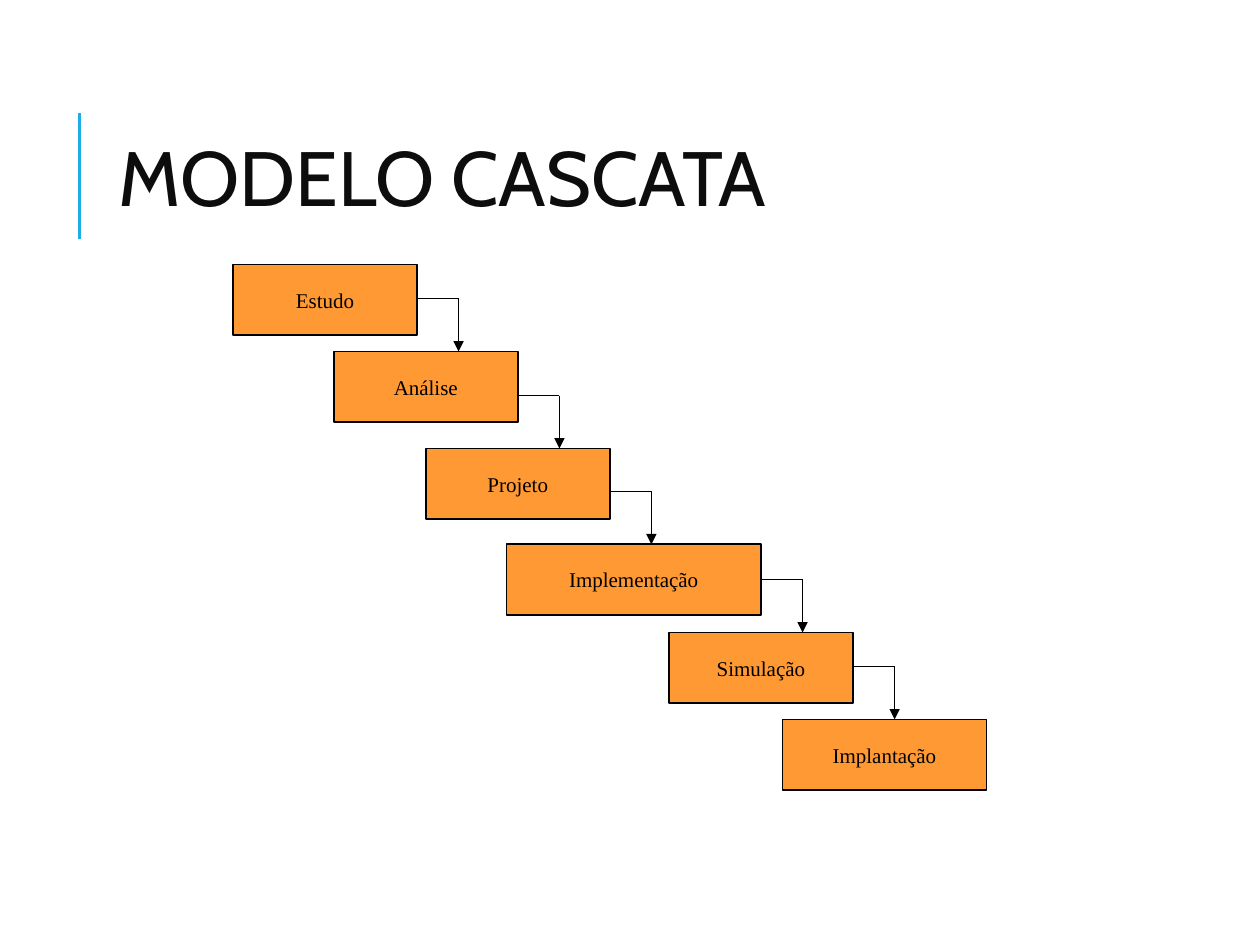
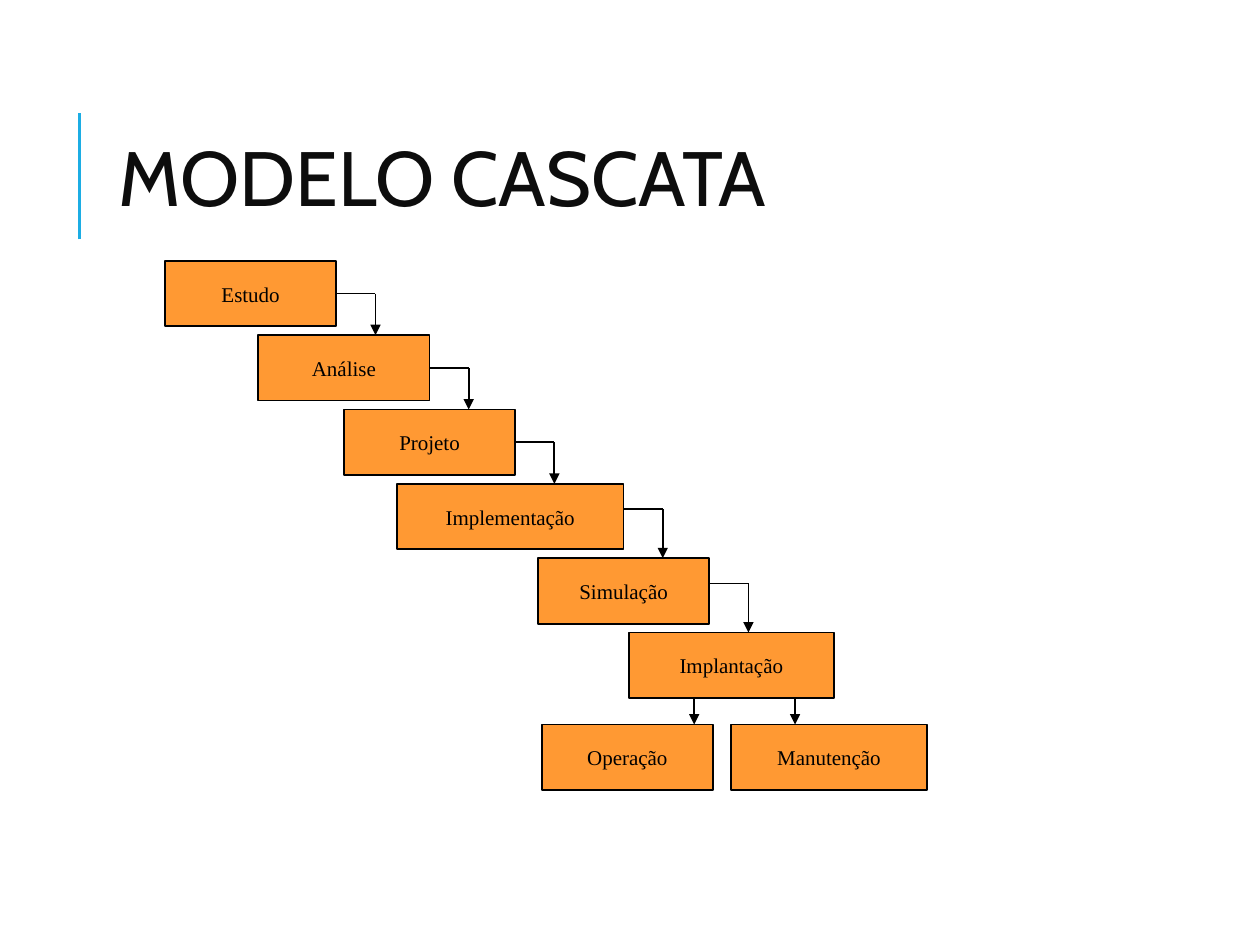
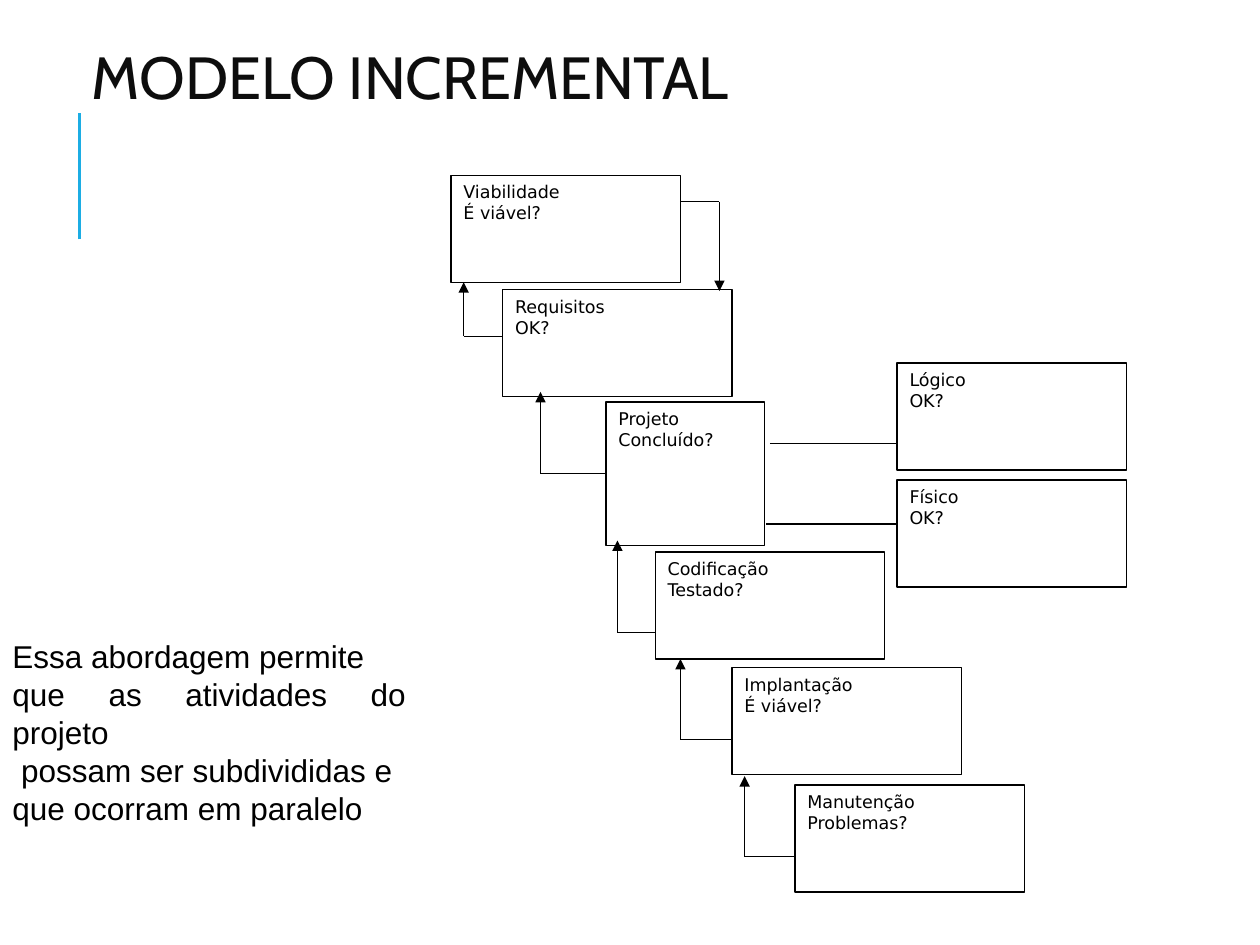
"""Build three slides on the waterfall and incremental process models."""
from itertools import pairwise

from lxml.etree import SubElement
from pptx import Presentation
from pptx.dml.color import RGBColor
from pptx.enum.shapes import MSO_CONNECTOR, MSO_SHAPE
from pptx.enum.text import MSO_ANCHOR, MSO_AUTO_SIZE, PP_ALIGN
from pptx.oxml.ns import qn
from pptx.util import Inches, Pt

INK, DARK, BLUE, ORANGE = "000000", "0D0D0D", "1CADE4", "FF9933"
hue = RGBColor.from_string


def write(shape, text, font="Arial", size=18, color=INK, align=PP_ALIGN.LEFT,
          anchor=MSO_ANCHOR.TOP, space=1.0, wrap=True, fit=MSO_AUTO_SIZE.NONE):
    frame = shape.text_frame
    frame.text = text
    frame.word_wrap = wrap
    frame.auto_size = fit
    frame.vertical_anchor = anchor
    for para in frame.paragraphs:
        para.alignment = align
        para.line_spacing = space
        for run in para.runs:
            run.font.name = font
            run.font.size = Pt(size)
            run.font.color.rgb = hue(color)


def link(slide, points, color=INK, width=1.0, tip=True):
    legs = list(pairwise(points))
    for leg in legs:
        ends = [Inches(value) for point in leg for value in point]
        line = slide.shapes.add_connector(MSO_CONNECTOR.STRAIGHT, *ends)
        line.line.color.rgb = hue(color)
        line.line.width = Pt(width)
        props = line._element.spPr
        if tip and leg == legs[-1]:
            SubElement(props.find(qn("a:ln")), qn("a:tailEnd"), type="triangle")
        SubElement(props, qn("a:effectLst"))


deck = Presentation()
deck.slide_width, deck.slide_height = Inches(10), Inches(7.5)

titles = [
    ("MODELO CASCATA", (0.84, 0.64, 7.97, 1.64), 44),
    ("MODELO CASCATA", (0.84, 0.64, 7.97, 1.64), 44),
    ("MODELO INCREMENTAL", (0.63, 0.33, 8.75, 0.65), 34),
]
pages = []
for name, place, size in titles:
    page = deck.slides.add_slide(deck.slide_layouts[5])
    title = page.shapes.title
    title.left, title.top, title.width, title.height = map(Inches, place)
    write(title, name, font="Cabin", size=size, color=DARK,
          anchor=MSO_ANCHOR.MIDDLE, space=0.8)
    link(page, [(0.63, 1.9), (0.63, 0.9)], color=BLUE, width=1.5, tip=False)
    pages.append(page)
first, second, third = pages

stages = ["Estudo", "Análise", "Projeto", "Implementação", "Simulação", "Implantação"]
falls = [
    (first, 0.56, 0.33, [1.85, 2.65, 3.38, 4.02, 5.31, 6.21],
     [2.1, 2.79, 3.56, 4.32, 5.02, 5.71],
     [1.46, 1.46, 1.46, 2.02, 1.46, 1.62], [0.42] * 5),
    (second, 0.52, 0.31, [1.31, 2.05, 2.73, 3.15, 4.27, 4.99],
     [2.07 + 0.59 * step for step in range(6)],
     [1.36, 1.36, 1.36, 1.8, 1.36, 1.63], [0.33, 0.33, 0.33, 0.39, 0.39]),
]
boxes, paths = [], []
for page, tall, reach, lefts, tops, widths, drops in falls:
    for name, left, top, wide in zip(stages, lefts, tops, widths):
        boxes.append((page, name, left, top, wide, tall))
    for left, wide, top, drop in zip(lefts, widths, tops[1:], drops):
        edge = left + wide
        bend = edge + reach
        paths.append((page, [(edge, top - drop), (bend, top - drop), (bend, top)], True))

boxes += [
    (second, "Operação", 4.3, 5.75, 1.36, 0.52),
    (second, "Manutenção", 5.8, 5.75, 1.56, 0.52),
]
paths += [(second, [(x, 5.55), (x, 5.75)], True) for x in (5.51, 6.31)]

checks = [
    ("Viabilidade\nÉ viável?", 3.58, 1.39),
    ("Requisitos\nOK?", 3.99, 2.3),
    ("Lógico\nOK?", 7.12, 2.88),
    ("Físico\nOK?", 7.12, 3.81),
    ("Codificação\nTestado?", 5.2, 4.38),
    ("Implantação\nÉ viável?", 5.81, 5.3),
    ("Manutenção\nProblemas?", 6.31, 6.23),
]
boxes += [(third, text, left, top, 1.82, 0.85) for text, left, top in checks]
boxes.append((third, "Projeto\nConcluído?", 4.81, 3.19, 1.26, 1.14))

paths.append((third, [(5.4, 1.6), (5.71, 1.6), (5.71, 2.31)], True))
backs = [
    (3.99, 2.67, 3.68, 2.24),
    (4.8, 3.76, 4.29, 3.11),
    (5.2, 5.02, 4.9, 4.29),
    (5.81, 5.87, 5.4, 5.23),
    (6.31, 6.8, 5.91, 6.16),
]
paths += [(third, [(x, y), (bend, y), (bend, end)], True) for x, y, bend, end in backs]
paths += [(third, [(x, y), (7.12, y)], False) for x, y in ((6.11, 3.52), (6.08, 4.16))]

for page, text, *place in boxes:
    box = page.shapes.add_shape(MSO_SHAPE.RECTANGLE, *map(Inches, place))
    box.shadow.inherit = False
    box.line.color.rgb = hue(INK)
    if page is third:
        box.fill.background()
        box.line.width = Pt(0.75)
        write(box, text, font="DejaVu Sans", size=10)
    else:
        box.fill.solid()
        box.fill.fore_color.rgb = hue(ORANGE)
        box.line.width = Pt(1)
        write(box, text, font="Times New Roman", size=12,
              align=PP_ALIGN.CENTER, anchor=MSO_ANCHOR.MIDDLE)

for page, points, tip in paths:
    link(page, points, width=0.75 if page is third else 1, tip=tip)

note = third.shapes.add_textbox(Inches(0), Inches(5.01), Inches(3.32), Inches(1.3))
write(note, "Essa abordagem permite\nque as atividades do projeto\n"
      " possam ser subdivididas e\nque ocorram em paralelo",
      align=PP_ALIGN.JUSTIFY, wrap=False, fit=MSO_AUTO_SIZE.SHAPE_TO_FIT_TEXT)

deck.save("out.pptx")
